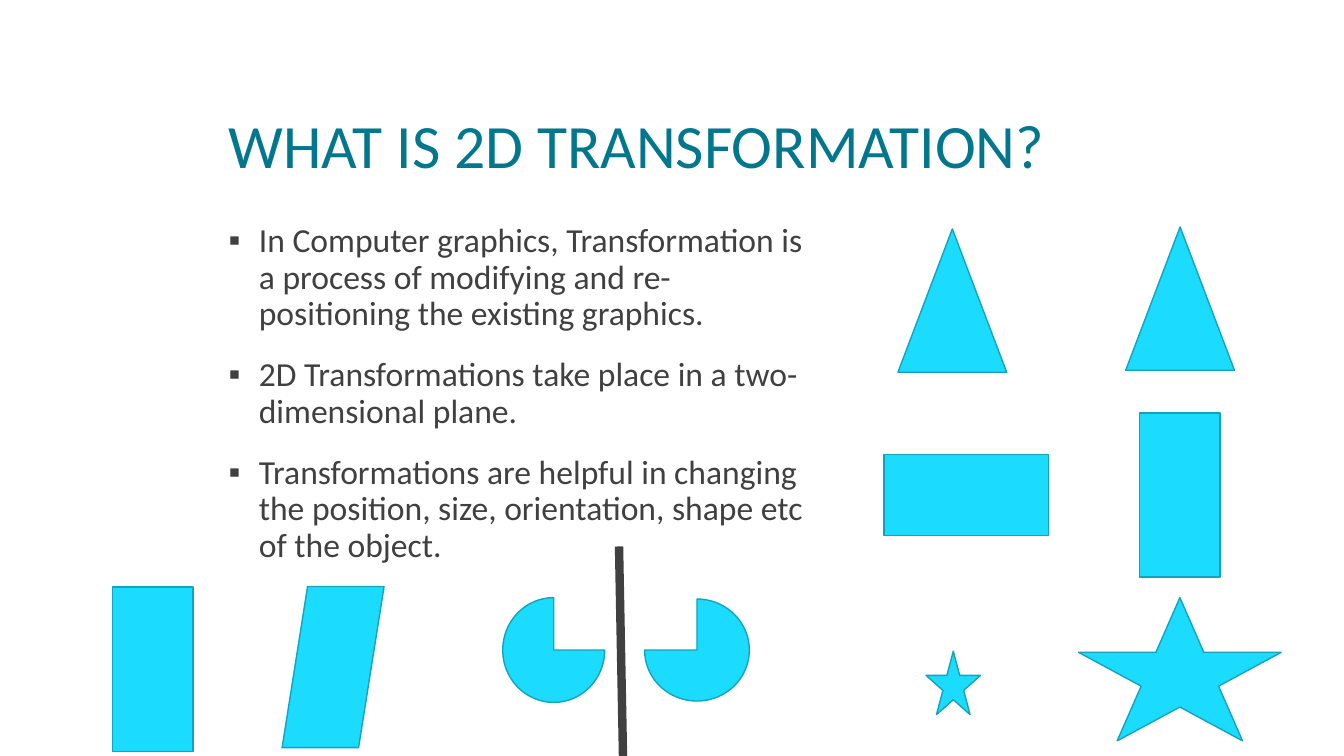
from lxml.etree import SubElement
from pptx import Presentation
from pptx.dml.color import RGBColor
from pptx.enum.shapes import MSO_CONNECTOR, MSO_SHAPE
from pptx.enum.text import MSO_ANCHOR, MSO_AUTO_SIZE, PP_ALIGN
from pptx.oxml.ns import qn
from pptx.util import Cm, Pt

COLORS = {
    "title": "00778D",
    "text": "404040",
    "fill": "1BDCFF",
    "outline": "14A3BD",
}
FONT = "Calibri"
TITLE = "WHAT IS 2D TRANSFORMATION?"
POINTS = [
    "In Computer graphics, Transformation is a process of modifying and "
    "re-positioning the existing graphics.",
    "2D Transformations take place in a two-dimensional plane.",
    "Transformations are helpful in changing the position, size, orientation, "
    "shape etc of the object.",
]

TRIANGLE_SIZE = (2.74, 3.61)
RECTANGLE_SIZE = (4.14, 2.03)
PIE_SIZE = (2.57, 2.64)
# Preset, left and top, size, rotation; each pair shows before and after.
FIGURES = [
    # Translation
    (MSO_SHAPE.ISOSCELES_TRIANGLE, (22.63, 5.77), TRIANGLE_SIZE, 0),
    (MSO_SHAPE.ISOSCELES_TRIANGLE, (28.37, 5.72), TRIANGLE_SIZE, 0),
    # Rotation
    (MSO_SHAPE.RECTANGLE, (22.28, 11.46), RECTANGLE_SIZE, 0),
    (MSO_SHAPE.RECTANGLE, (27.66, 11.46), RECTANGLE_SIZE, 90),
    # Scaling
    (MSO_SHAPE.STAR_5_POINT, (23.34, 16.41), (1.37, 1.6), 0),
    (MSO_SHAPE.STAR_5_POINT, (27.18, 15.06), (5.11, 3.61), 0),
    # Shearing
    (MSO_SHAPE.RECTANGLE, (1.78, 15.85), RECTANGLE_SIZE, 90),
    (MSO_SHAPE.PARALLELOGRAM, (7.11, 14.78), (2.57, 4.06), 0),
    # Reflection
    (MSO_SHAPE.PIE, (12.67, 15.06), PIE_SIZE, 0),
    (MSO_SHAPE.PIE, (16.28, 15.06), PIE_SIZE, 270),
]


def color(name):
    return RGBColor.from_string(COLORS[name])


def place(shape, left, top, width, height):
    shape.left, shape.top = Cm(left), Cm(top)
    shape.width, shape.height = Cm(width), Cm(height)


def format_paragraph(paragraph, size, color_name, line_spacing):
    paragraph.alignment = PP_ALIGN.LEFT
    paragraph.line_spacing = line_spacing
    paragraph.font.name = FONT
    paragraph.font.size = Pt(size)
    paragraph.font.color.rgb = color(color_name)


def add_bullet(paragraph, indent):
    properties = paragraph._p.get_or_add_pPr()
    properties.set("marL", str(indent))
    properties.set("indent", str(-indent))
    SubElement(properties, qn("a:buChar")).set("char", "▪")


def fill_title(title):
    place(title, 5.51, 1.07, 26.04, 3.61)
    frame = title.text_frame
    frame.text = TITLE
    frame.auto_size = MSO_AUTO_SIZE.NONE
    frame.vertical_anchor = MSO_ANCHOR.BOTTOM
    format_paragraph(frame.paragraphs[0], 44, "title", 0.85)


def fill_body(body):
    place(body, 5.51, 5.51, 15.14, 12.45)
    frame = body.text_frame
    frame.text = "\n".join(POINTS)
    frame.auto_size = MSO_AUTO_SIZE.NONE
    for paragraph in frame.paragraphs:
        paragraph.space_before = Pt(18)
        paragraph.line_spacing = 0.9
        add_bullet(paragraph, Cm(0.76))
        format_paragraph(paragraph, 24, "text", 0.9)


def add_figure(slide, preset, position, size, rotation):
    shape = slide.shapes.add_shape(preset, *map(Cm, position + size))
    shape.rotation = rotation
    shape.shadow.inherit = False
    shape.fill.solid()
    shape.fill.fore_color.rgb = color("fill")
    shape.line.color.rgb = color("outline")
    shape.line.width = Pt(1)


def add_mirror_line(slide):
    line = slide.shapes.add_connector(
        MSO_CONNECTOR.STRAIGHT, Cm(15.6), Cm(13.77), Cm(15.7), Cm(19.05)
    )
    line.line.color.rgb = color("text")
    line.line.width = Pt(6)
    SubElement(line._element.spPr, qn("a:effectLst"))


def main():
    presentation = Presentation()
    presentation.slide_width = Cm(33.87)
    presentation.slide_height = Cm(19.05)
    slide = presentation.slides.add_slide(presentation.slide_layouts[1])
    fill_title(slide.shapes.title)
    fill_body(slide.placeholders[1])
    add_mirror_line(slide)
    for figure in FIGURES:
        add_figure(slide, *figure)
    presentation.save("out.pptx")


if __name__ == "__main__":
    main()
